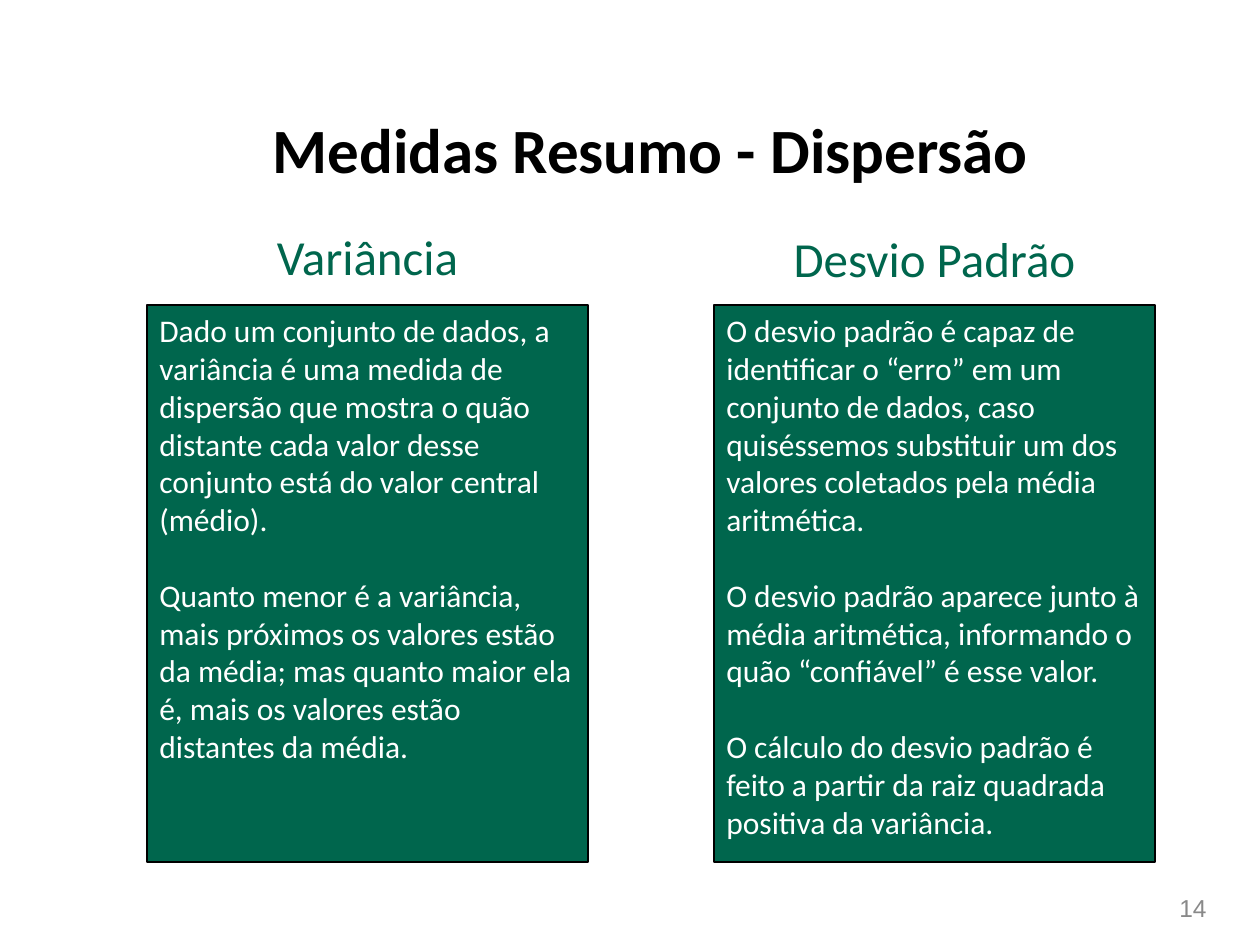
from pptx import Presentation
from pptx import util as u
from pptx.dml.color import RGBColor
from pptx.enum import shapes, text

COLORS = {"ink": "000000", "green": "00664D", "white": "FFFFFF", "gray": "898989"}
EMU_PER_PX = 914400 / 126


def px(length):
    return u.Emu(round(length * EMU_PER_PX))


def color(name):
    return RGBColor.from_string(COLORS[name])


class SlideBuilder:
    def __init__(self, deck):
        self.slide = deck.slides.add_slide(deck.slide_layouts[5])

    def fill_text(self, frame, paragraphs, size, ink, align, anchor,
                  face="Calibri", bold=False, gap=0):
        frame.word_wrap = True
        frame.auto_size = text.MSO_AUTO_SIZE.NONE
        frame.vertical_anchor = anchor
        for index, wording in enumerate(paragraphs):
            paragraph = frame.add_paragraph() if index else frame.paragraphs[0]
            paragraph.alignment = align
            paragraph.space_before = u.Pt(gap if index else 0)
            run = paragraph.add_run()
            run.text = wording
            run.font.name = face
            run.font.size = u.Pt(size)
            run.font.bold = bold
            run.font.color.rgb = color(ink)

    def title(self, wording, left, top, width, height):
        heading = self.slide.shapes.title
        heading.left, heading.top = px(left), px(top)
        heading.width, heading.height = px(width), px(height)
        self.fill_text(heading.text_frame, [wording], 36, "ink",
                       text.PP_ALIGN.CENTER, text.MSO_ANCHOR.MIDDLE, bold=True)

    def label(self, wording, left, top, width, height, size, ink, align,
              anchor=text.MSO_ANCHOR.TOP, face="Calibri"):
        box = self.slide.shapes.add_textbox(px(left), px(top), px(width), px(height))
        self.fill_text(box.text_frame, [wording], size, ink, align, anchor, face)

    def panel(self, paragraphs, left, top, width, height):
        card = self.slide.shapes.add_shape(
            shapes.MSO_SHAPE.RECTANGLE, px(left), px(top), px(width), px(height))
        card.shadow.inherit = False
        card.fill.solid()
        card.fill.fore_color.rgb = color("green")
        card.line.color.rgb = color("ink")
        card.line.width = u.Pt(0.75)
        self.fill_text(card.text_frame, paragraphs, 18, "white",
                       text.PP_ALIGN.LEFT, text.MSO_ANCHOR.TOP, gap=21.6)


MEASURES = [
    ("Variância", 147, 220, [
        "Dado um conjunto de dados, a variância é uma medida de dispersão que mostra "
        "o quão distante cada valor desse conjunto está do valor central (médio).",
        "Quanto menor é a variância, mais próximos os valores estão da média; "
        "mas quanto maior ela é, mais os valores estão distantes da média.",
    ]),
    ("Desvio Padrão", 714, 222, [
        "O desvio padrão é capaz de identificar o “erro” em um conjunto de dados, "
        "caso quiséssemos substituir um dos valores coletados pela média aritmética.",
        "O desvio padrão aparece junto à média aritmética, informando o quão "
        "“confiável” é esse valor.",
        "O cálculo do desvio padrão é feito a partir da raiz quadrada positiva "
        "da variância.",
    ]),
]


def main():
    deck = Presentation()
    deck.slide_width, deck.slide_height = px(1260), px(945)
    builder = SlideBuilder(deck)
    builder.title("Medidas Resumo - Dispersão", 105, 101, 1091, 94)
    builder.label("14", 925, 887, 294, 42, 14, "gray", text.PP_ALIGN.RIGHT,
                  text.MSO_ANCHOR.MIDDLE, "Arial")
    for measure, left, heading_top, explanation in MEASURES:
        builder.panel(explanation, left, 305, 441, 557)
        builder.label(measure, left, heading_top, 441, 72, 28, "green",
                      text.PP_ALIGN.CENTER)
    deck.save("out.pptx")


if __name__ == "__main__":
    main()
